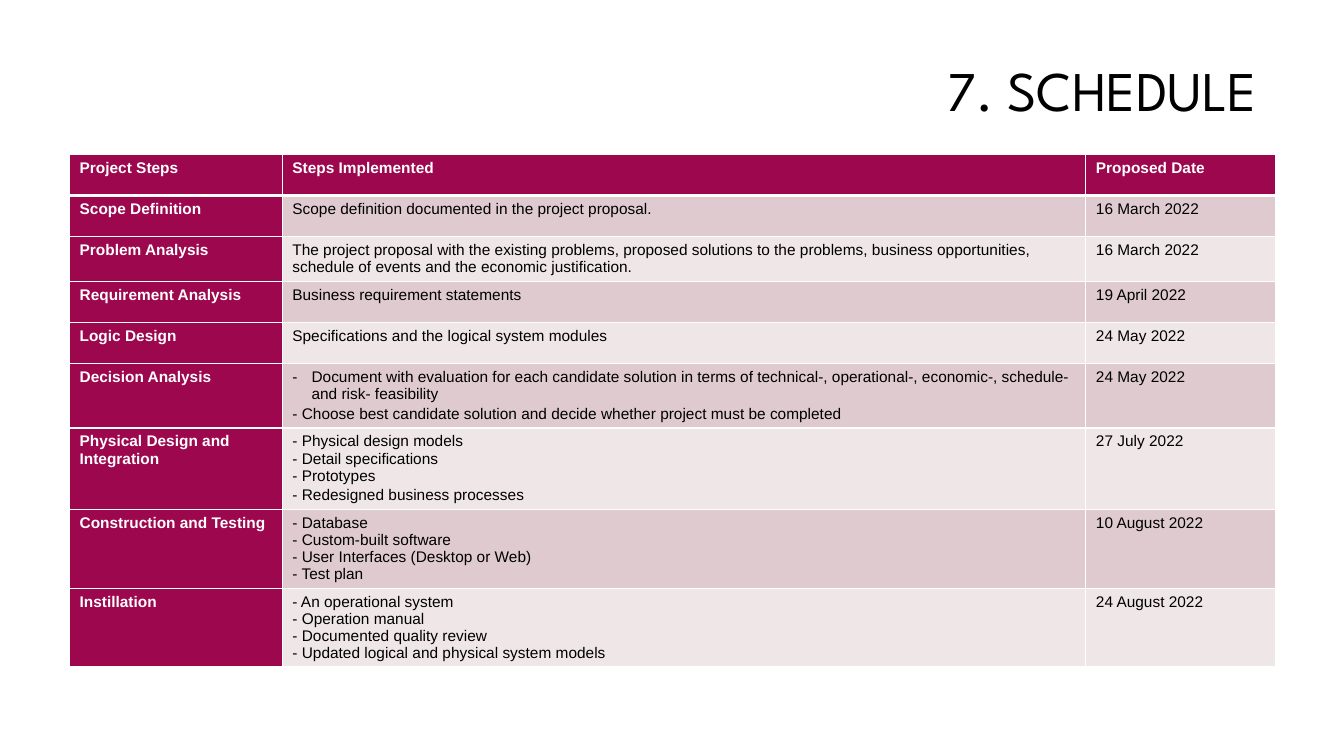
"""Builds the project schedule slide with its table of steps and dates."""
from dataclasses import dataclass

from lxml import etree
from pptx import Presentation
from pptx.dml.color import RGBColor
from pptx.enum import text
from pptx.oxml import ns
from pptx.util import Inches, Pt

TITLE = "7. SCHEDULE"
HEADER = ("Project Steps", "Steps Implemented", "Proposed Date")
HANGING = {"hanging": 0.19}
LOOSE = {"spacing": 1.15}
STEPS = [
    ("Scope Definition", ["Scope definition documented in the project proposal."], "16 March 2022"),
    ("Problem Analysis",
     ["The project proposal with the existing problems, proposed solutions to the problems, "
      "business opportunities, schedule of events and the economic justification."],
     "16 March 2022"),
    ("Requirement Analysis", ["Business requirement statements"], "19 April 2022"),
    ("Logic Design", ["Specifications and the logical system modules"], "24 May 2022"),
    ("Decision Analysis",
     [("Document with evaluation for each candidate solution in terms of technical-, "
       "operational-, economic-, schedule- and risk- feasibility", HANGING),
      ("- Choose best candidate solution and decide whether project must be completed", LOOSE)],
     "24 May 2022"),
    ("Physical Design and Integration",
     ["- Physical design models", "- Detail specifications", "- Prototypes",
      ("- Redesigned business processes", LOOSE)],
     "27 July 2022"),
    ("Construction and Testing",
     ["- Database", "- Custom-built software", "- User Interfaces (Desktop or Web)", "- Test plan"],
     "10 August 2022"),
    ("Instillation",
     ["- An operational system", "- Operation manual", "- Documented quality review",
      "- Updated logical and physical system models"],
     "24 August 2022"),
]
COL_WIDTHS = (2.11, 7.97, 1.88)
ROW_HEIGHTS = (0.41, 0.41, 0.44, 0.41, 0.41, 0.63, 0.81, 0.77, 0.78)


@dataclass(frozen=True)
class Theme:
    """Colours, fonts and type sizes."""
    title_font: str = "League Spartan"
    body_font: str = "Arial"
    title_size: int = 40
    body_size: int = 11
    ink: str = "000000"
    paper: str = "FFFFFF"
    accent: str = "9D074E"
    bands: tuple = ("DECACF", "EFE6E8")


THEME = Theme()


def write(p, words, font=THEME.body_font, size=THEME.body_size, color=THEME.ink,
          bold=False, align=text.PP_ALIGN.LEFT, spacing=None, hanging=0):
    """Put formatted words in a paragraph."""
    p.alignment = align
    p.line_spacing = spacing
    if hanging:
        pPr = p._p.get_or_add_pPr()
        pPr.set("marL", str(Inches(hanging)))
        pPr.set("indent", str(-Inches(hanging)))
        etree.SubElement(pPr, ns.qn("a:buFont"), typeface=font)
        etree.SubElement(pPr, ns.qn("a:buChar"), char="-")
    r = p.add_run()
    r.text = words
    r.font.name, r.font.size, r.font.bold = font, Pt(size), bold
    r.font.color.rgb = RGBColor.from_string(color)


def set_borders(cell, **widths):
    """Draw the cell's four edges in the paper colour, in points."""
    tcPr = cell._tc.get_or_add_tcPr()
    for side in "LRTB":
        ln = etree.SubElement(tcPr, ns.qn(f"a:ln{side}"), w=str(Pt(widths.get(side, 1))))
        fill = etree.SubElement(ln, ns.qn("a:solidFill"))
        etree.SubElement(fill, ns.qn("a:srgbClr"), val=THEME.paper)


def fill_cell(cell, lines, fill, borders, **fmt):
    """Set a cell's edges, fill and lines of text."""
    set_borders(cell, **borders)
    cell.fill.solid()
    cell.fill.fore_color.rgb = RGBColor.from_string(fill)
    tf = cell.text_frame
    for i, line in enumerate(lines):
        words, extra = (line, {}) if isinstance(line, str) else line
        write(tf.add_paragraph() if i else tf.paragraphs[0], words, **fmt, **extra)


def add_title(slide):
    """Place the right-aligned title."""
    sp = slide.shapes.title
    sp.left, sp.top, sp.width, sp.height = map(Inches, (3.15, 0.22, 9.42, 1.41))
    tf = sp.text_frame
    tf.vertical_anchor = text.MSO_ANCHOR.MIDDLE
    write(tf.paragraphs[0], TITLE, font=THEME.title_font, size=THEME.title_size,
          align=text.PP_ALIGN.RIGHT, spacing=0.9)


def add_schedule(slide):
    """Place the table of steps."""
    size = map(Inches, (0.69, 1.53, sum(COL_WIDTHS), sum(ROW_HEIGHTS)))
    table = slide.shapes.add_table(len(STEPS) + 1, len(HEADER), *size).table
    for col, width in zip(table.columns, COL_WIDTHS):
        col.width = Inches(width)
    for row, height in zip(table.rows, ROW_HEIGHTS):
        row.height = Inches(height)
    for i, row in enumerate([HEADER, *STEPS]):
        borders = {0: {"B": 3}, 1: {"T": 3}}.get(i, {})
        for j, content in enumerate(row):
            heading = i == 0 or j == 0
            lines = [content] if isinstance(content, str) else content
            fill_cell(table.cell(i, j), lines,
                      THEME.accent if heading else THEME.bands[(i - 1) % 2], borders,
                      color=THEME.paper if heading else THEME.ink, bold=heading)


def main():
    """Build and save the slide."""
    prs = Presentation()
    prs.slide_width, prs.slide_height = Inches(13.33), Inches(7.5)
    slide = prs.slides.add_slide(prs.slide_layouts[5])
    add_title(slide)
    add_schedule(slide)
    prs.save("out.pptx")


if __name__ == "__main__":
    main()
